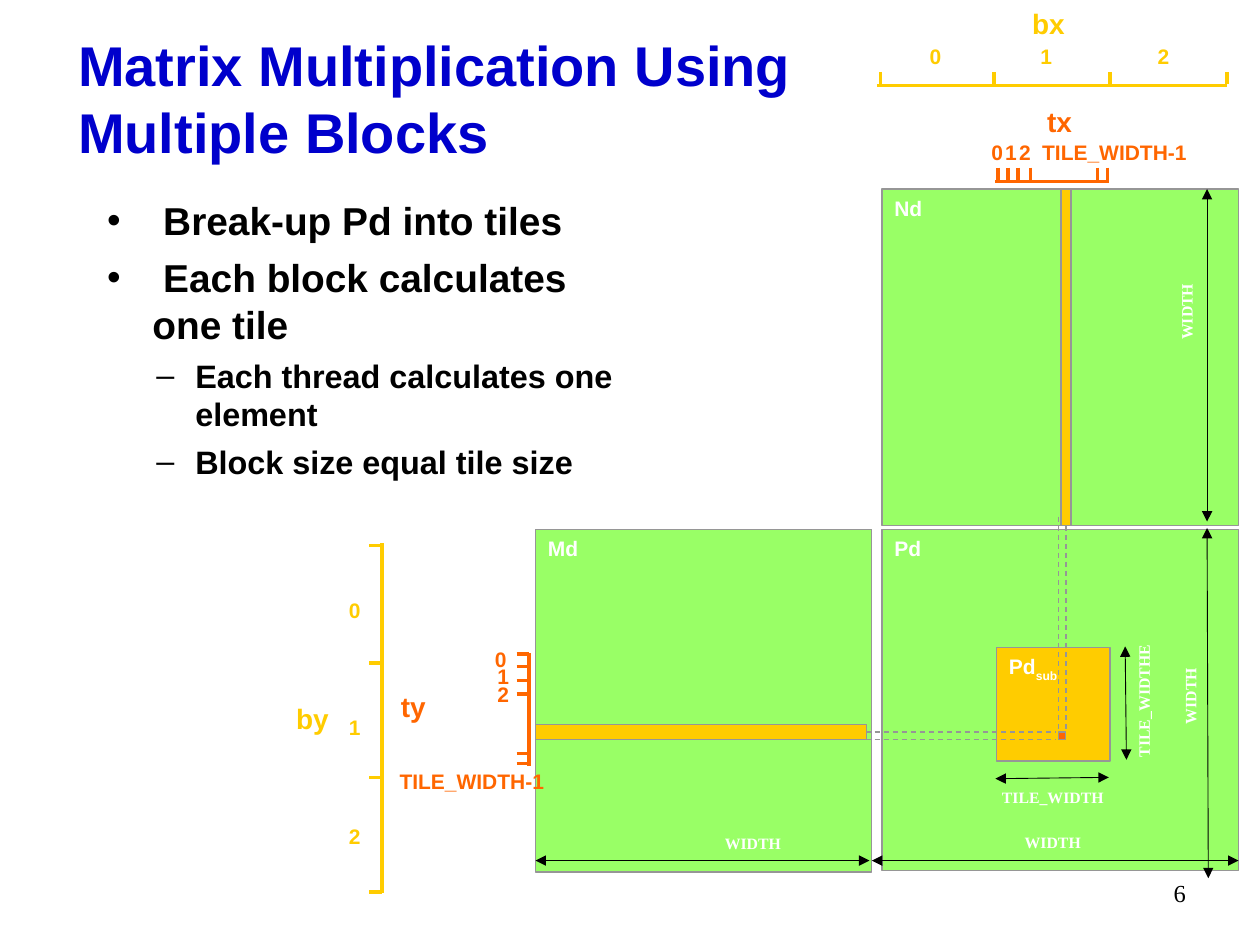
from lxml import etree
from pptx import Presentation
from pptx.dml.color import RGBColor
from pptx.enum import dml, shapes, text
from pptx.oxml import ns
from pptx.util import Inches, Pt

COLORS = {"matrix": "99FF66", "block": "FFCC00", "thread": "FF6600", "edge": "969696",
          "title": "0000CC", "ink": "000000", "paper": "FFFFFF"}
SANS, SERIF = "Arial", "Times New Roman"
LEFT, CENTER, RIGHT = text.PP_ALIGN.LEFT, text.PP_ALIGN.CENTER, text.PP_ALIGN.RIGHT


def rgb(color):
    return RGBColor.from_string(COLORS[color])


def add_element(parent, tag, **attributes):
    return etree.SubElement(parent, ns.qn(tag), attributes)


class Diagram:
    def __init__(self, slide):
        self.slide = slide

    def style(self, paragraph, size, color, font=SANS, bold=True, align=LEFT):
        paragraph.alignment = align
        paragraph.font.size = Pt(size)
        paragraph.font.name = font
        paragraph.font.bold = bold
        paragraph.font.color.rgb = rgb(color)

    def place(self, placeholder, left, top, width, height):
        placeholder.left, placeholder.top = Inches(left), Inches(top)
        placeholder.width, placeholder.height = Inches(width), Inches(height)
        placeholder.text_frame.auto_size = text.MSO_AUTO_SIZE.NONE
        return placeholder.text_frame

    def title(self, words, *box):
        frame = self.place(self.slide.shapes.title, *box)
        frame.vertical_anchor = text.MSO_ANCHOR.MIDDLE
        frame.text = words
        self.style(frame.paragraphs[0], 32, "title")

    def bullets(self, items, *box):
        frame = self.place(self.slide.placeholders[1], *box)
        levels = [("•", 0.47, -0.36, 22.2, 6), ("–", 0.81, -0.31, 18.5, 5)]
        for index, (level, words) in enumerate(items):
            mark, margin, indent, size, before = levels[level]
            item = frame.add_paragraph() if index else frame.paragraphs[0]
            item.text = words
            item.level = level
            item.space_before = Pt(before if index else 0)
            properties = item._p.get_or_add_pPr()
            properties.set("marL", str(Inches(margin)))
            properties.set("indent", str(Inches(indent)))
            add_element(properties, "a:buFont", typeface=SANS)
            add_element(properties, "a:buChar", char=mark)
            self.style(item, size, "ink")

    def box(self, left, top, width, height, fill, name="", subscript=""):
        rect = self.slide.shapes.add_shape(shapes.MSO_SHAPE.RECTANGLE, Inches(left),
                                           Inches(top), Inches(width), Inches(height))
        rect.shadow.inherit = False
        rect.fill.solid()
        rect.fill.fore_color.rgb = rgb(fill)
        rect.line.color.rgb = rgb("edge")
        rect.line.width = Pt(0.75)
        if name:
            rect.text_frame.vertical_anchor = text.MSO_ANCHOR.TOP
            caption = rect.text_frame.paragraphs[0]
            caption.add_run().text = name
            if subscript:
                lowered = caption.add_run()
                lowered.text = subscript
                lowered._r.get_or_add_rPr().set("baseline", "-25000")
            self.style(caption, 12, "paper")

    def line(self, x1, y1, x2, y2, color, width, dashed=False, arrows=False):
        stroke = self.slide.shapes.add_connector(
            shapes.MSO_CONNECTOR.STRAIGHT, Inches(x1), Inches(y1), Inches(x2), Inches(y2))
        stroke.line.color.rgb = rgb(color)
        stroke.line.width = Pt(width)
        if dashed:
            stroke.line.dash_style = dml.MSO_LINE.DASH
        if arrows:
            outline = stroke.line._get_or_add_ln()
            for end in ("a:headEnd", "a:tailEnd"):
                add_element(outline, end, type="triangle")
        add_element(stroke._element.spPr, "a:effectLst")

    def dashes(self, *ends):
        self.line(*ends, "edge", 0.75, dashed=True)

    def measure(self, *ends):
        self.line(*ends, "ink", 0.5, arrows=True)

    def label(self, words, left, top, width, height, size, color, font=SANS, bold=True,
              align=CENTER, wrap=False, inset=True, rotation=0):
        holder = self.slide.shapes.add_textbox(Inches(left), Inches(top),
                                               Inches(width), Inches(height))
        holder.rotation = rotation
        frame = holder.text_frame
        frame.word_wrap = wrap
        if not inset:
            frame.margin_left = frame.margin_right = 0
            frame.margin_top = frame.margin_bottom = 0
        frame.text = words
        self.style(frame.paragraphs[0], size, color, font, bold, align)
        return frame

    def dimension(self, words, left, top, width, rotation=0):
        self.label(words, left, top, width, 0.15, 9, "paper", SERIF,
                   inset=False, rotation=rotation)

    def index(self, digit, left, top, color):
        self.label(digit, left, top, 0.26, 0.3, 12, color, wrap=True)

    def across(self, start, end, y, ticks, color):
        self.line(start, y, end, y, color, 2)
        for x in ticks:
            self.line(x, y - 0.11, x, y - 0.01, color, 2)

    def down(self, start, end, x, ticks, color):
        self.line(x, end, x, start, color, 2)
        for y in ticks:
            self.line(x - 0.1, y, x, y, color, 2)


def main():
    deck = Presentation()
    deck.slide_width, deck.slide_height = Inches(10), Inches(7.5)
    diagram = Diagram(deck.slides.add_slide(deck.slide_layouts[1]))

    diagram.title("Matrix Multiplication Using Multiple Blocks", 0.52, 0.15, 6.5, 1.25)
    diagram.bullets([(0, " Break-up Pd into tiles"),
                     (0, " Each block calculates one tile"),
                     (1, "Each thread calculates one element"),
                     (1, "Block size equal tile size")], 0.64, 1.51, 4.46, 2.48)
    number = diagram.label("6", 8.3, 6.83, 1.21, 0.51, 14, "ink", SERIF,
                           bold=False, align=RIGHT, wrap=True)
    number.vertical_anchor = text.MSO_ANCHOR.MIDDLE

    diagram.box(4.25, 4.2, 2.67, 2.72, "matrix", "Md")
    diagram.box(7, 1.5, 2.83, 2.67, "matrix", "Nd")
    diagram.box(7, 4.2, 2.83, 2.71, "matrix", "Pd")
    diagram.box(7.91, 5.14, 0.9, 0.9, "block", "Pd", "sub")

    for x in (8.4, 8.46):
        diagram.dashes(x, 4.1, x, 5.81)
    diagram.box(8.4, 5.81, 0.06, 0.06, "thread")
    for y in (5.81, 5.87):
        diagram.dashes(6.87, y, 8.38, y)
    diagram.box(4.25, 5.75, 2.63, 0.12, "block")
    diagram.box(8.42, 1.5, 0.08, 2.67, "block")

    for ends in [(9.58, 4.14, 9.58, 1.5), (9.58, 4.19, 9.59, 6.97),
                 (9.83, 6.83, 6.92, 6.83), (4.25, 6.83, 6.9, 6.83),
                 (8.93, 5.13, 8.94, 6.03), (7.9, 6.18, 8.8, 6.17)]:
        diagram.measure(*ends)
    diagram.dimension("TILE_WIDTH", 7.95, 6.25, 0.81)
    diagram.dimension("TILE_WIDTHE", 8.63, 5.49, 0.89, 270)
    for left, top, rotation in [(8.13, 6.61, 0), (5.75, 6.62, 0),
                                (9.22, 5.45, 270), (9.19, 2.4, 270)]:
        diagram.dimension("WIDTH", left, top, 0.45, rotation)

    diagram.across(6.96, 9.74, 0.68, (6.99, 7.89, 8.81, 9.74), "block")
    diagram.across(7.9, 8.8, 1.44, (7.92, 8, 8.08, 8.18, 8.71, 8.79), "thread")
    diagram.down(4.31, 7.09, 3.03, (4.33, 5.26, 6.17, 7.08), "block")
    diagram.down(5.18, 6.08, 4.2, (5.19, 5.29, 5.4, 5.51, 5.98, 6.06), "thread")

    for name, left, top, color in [("bx", 8.09, 0, "block"), ("tx", 8.18, 0.78, "thread"),
                                   ("by", 2.25, 5.52, "block"), ("ty", 3.05, 5.42, "thread")]:
        diagram.label(name, left, top, 0.46, 0.37, 16, color)
    for left, top in [(8.17, 1.06), (3.07, 6.05)]:
        diagram.label("TILE_WIDTH-1", left, top, 1.35, 0.3, 12, "thread")

    block_spots = [(7.28, 4.69), (8.16, 5.62), (9.09, 6.49)]
    thread_spots = [(7.77, 3.83, 5.08), (7.88, 3.85, 5.22), (7.99, 3.85, 5.36)]
    for digit, (column, row) in enumerate(block_spots):
        diagram.index(str(digit), column, 0.3, "block")
        diagram.index(str(digit), 2.67, row, "block")
    for digit, (column, left, row) in enumerate(thread_spots):
        diagram.index(str(digit), column, 1.06, "thread")
        diagram.index(str(digit), left, row, "thread")

    deck.save("out.pptx")


if __name__ == "__main__":
    main()
